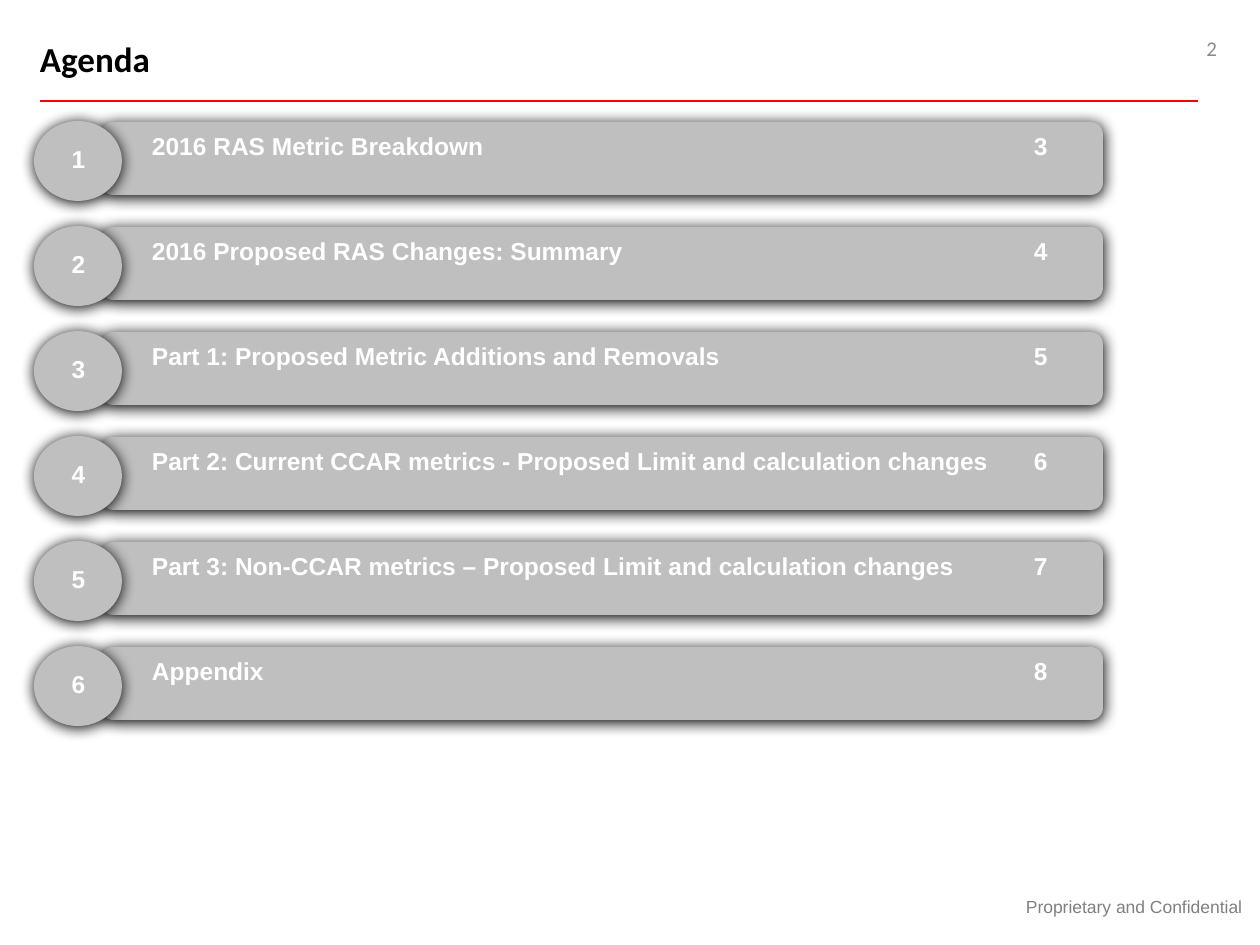
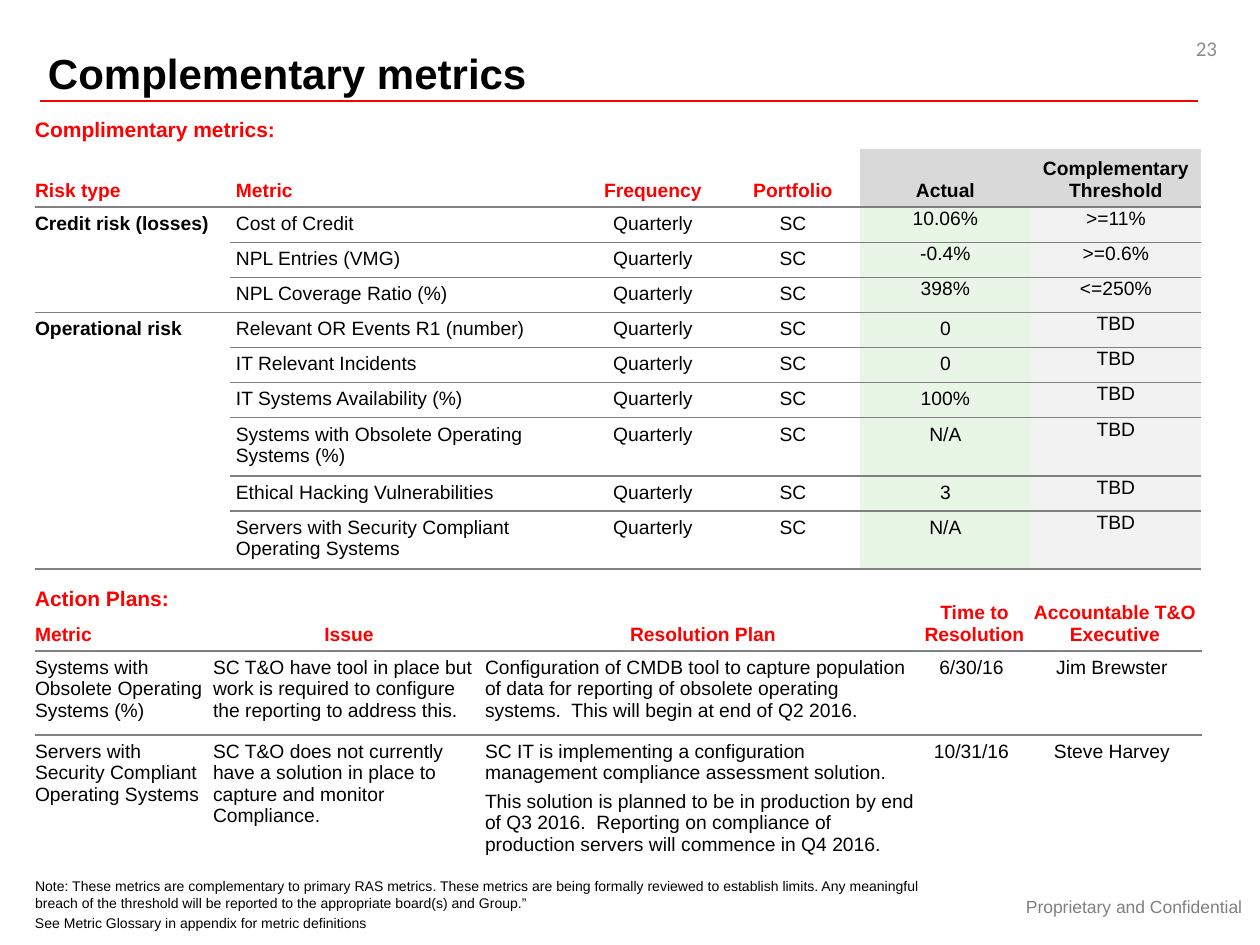
from lxml.etree import SubElement as Sub
from pptx import Presentation
from pptx.dml.color import RGBColor
from pptx.enum.shapes import MSO_CONNECTOR as Link, MSO_SHAPE as Kind
from pptx.enum.text import MSO_ANCHOR as Anchor, PP_ALIGN as Align
from pptx.oxml.ns import qn
from pptx.util import Pt

SCALE = 914400 / 126
RED, BLACK, WHITE = "FF0000", "000000", "FFFFFF"
SILVER, GRAY, PALE = "BFBFBF", "808080", "8C8C8C"
HEAD, GREEN, MIST = "D9D9D9", "E8F6E6", "F2F2F2"
PLAIN = "{2D5ABB26-0587-4C30-8999-92F81FD0307C}"
ALIGN = {"l": Align.LEFT, "c": Align.CENTER, "r": Align.RIGHT}
ANCHOR = {"t": Anchor.TOP, "m": Anchor.MIDDLE, "b": Anchor.BOTTOM}

FOOTER = "Proprietary and Confidential"
AGENDA = [
    ("2016 RAS Metric Breakdown", 3),
    ("2016 Proposed RAS Changes: Summary", 4),
    ("Part 1: Proposed Metric Additions and Removals", 5),
    ("Part 2: Current CCAR metrics - Proposed Limit and calculation changes", 6),
    ("Part 3: Non-CCAR metrics – Proposed Limit and calculation changes", 7),
    ("Appendix", 8),
]
TITLES = ["Risk type", "Metric", "Frequency", "Portfolio", "Actual",
          "Complementary Threshold"]
RISKS = {
    "Credit risk (losses)": [
        ("Cost of Credit", "10.06%", ">=11%"),
        ("NPL Entries (VMG)", "-0.4%", ">=0.6%"),
        ("NPL Coverage Ratio (%)", "398%", "<=250%"),
    ],
    "Operational risk": [
        ("Relevant OR Events R1 (number)", "0", "TBD"),
        ("IT Relevant Incidents", "0", "TBD"),
        ("IT Systems Availability (%)", "100%", "TBD"),
        ("Systems with Obsolete Operating Systems (%)", "N/A", "TBD"),
        ("Ethical Hacking Vulnerabilities", "3", "TBD"),
        ("Servers with Security Compliant Operating Systems", "N/A", "TBD"),
    ],
}
PLANS = [
    ("Metric", "Issue", "Resolution Plan", "Time to Resolution",
     "Accountable T&O Executive"),
    ("Systems with Obsolete Operating Systems (%)",
     "SC T&O have tool in place but work is required to configure the "
     "reporting to address this.",
     "Configuration of CMDB tool to capture population of data for reporting "
     "of obsolete operating systems.  This will begin at end of Q2 2016.",
     "6/30/16", "Jim Brewster"),
    ("Servers with Security Compliant Operating Systems",
     "SC T&O does not currently have a solution in place to capture and "
     "monitor Compliance.",
     ["SC IT is implementing a configuration management compliance "
      "assessment solution.",
      "This solution is planned to be in production by end of Q3 2016.  "
      "Reporting on compliance of production servers will commence in Q4 2016."],
     "10/31/16", "Steve Harvey"),
]
NOTE = ("Note: These metrics are complementary to primary RAS metrics. These "
        "metrics are being formally reviewed to establish limits. Any meaningful "
        "breach of the threshold will be reported to the appropriate board(s) "
        "and Group.”")
GLOSS = "See Metric Glossary in appendix for metric definitions"


def px(*vals):
    return [round(v * SCALE) for v in vals]


def tint(code):
    return RGBColor.from_string(code)


def write(frame, text, size=11, color=BLACK, bold=False, face="Arial",
          align="l", gap=0, tab=None):
    for i, line in enumerate(text if isinstance(text, list) else [text]):
        para = frame.add_paragraph() if i else frame.paragraphs[0]
        para.alignment = ALIGN[align]
        para.space_before = Pt(gap if i else 0)
        para.space_after = Pt(gap)
        if tab:
            stops = Sub(para._p.get_or_add_pPr(), qn("a:tabLst"))
            Sub(stops, qn("a:tab"), pos=str(px(tab)[0]), algn="l")
        run = para.add_run()
        run.text = line
        font = run.font
        font.size, font.bold, font.name = Pt(size), bold, face
        font.color.rgb = tint(color)


def inset(part, sides):
    (part.margin_left, part.margin_top,
     part.margin_right, part.margin_bottom) = px(*sides)


def label(shapes, at, text, pad=(13, 6, 13, 6), anchor="t", **fmt):
    frame = shapes.add_textbox(*px(*at)).text_frame
    frame.word_wrap = True
    frame.vertical_anchor = ANCHOR[anchor]
    inset(frame, pad)
    write(frame, text, **fmt)


def raised(shapes, kind, at):
    shape = shapes.add_shape(kind, *px(*at))
    shape.fill.solid()
    shape.fill.fore_color.rgb = tint(SILVER)
    shape.line.fill.background()
    shape.shadow.inherit = False
    effects = shape._element.spPr.find(qn("a:effectLst"))
    shade = Sub(effects, qn("a:outerShdw"), blurRad=str(Pt(8.5)),
                dist=str(Pt(1)), dir="5400000", algn="ctr", rotWithShape="0")
    Sub(shade, qn("a:srgbClr"), val=BLACK)


def page(deck, num):
    shapes = deck.slides.add_slide(deck.slide_layouts[6]).shapes
    rule = shapes.add_connector(Link.STRAIGHT, *px(40, 101, 1198, 101))
    rule.line.color.rgb = tint(RED)
    rule.line.width = Pt(1)
    Sub(rule._element.spPr, qn("a:effectLst"))
    label(shapes, (921, 882, 426, 50), FOOTER, anchor="m", size=10,
          color=GRAY, align="c")
    label(shapes, (946, 23, 284, 50), str(num), anchor="m", size=12,
          color=PALE, face="Calibri", align="r")
    return shapes


def grid(shapes, left, top, cols, rows):
    box = (left, top, sum(cols), sum(rows))
    table = shapes.add_table(len(rows), len(cols), *px(*box)).table
    table._tbl.tblPr.find(qn("a:tableStyleId")).text = PLAIN
    table.first_row = table.horz_banding = False
    for parts, name, sizes in ((table.columns, "width", cols),
                               (table.rows, "height", rows)):
        for part, size in zip(parts, px(*sizes)):
            setattr(part, name, size)
    return table


def put(cell, text, pad=(6, 6, 6, 6), anchor="t", fill=None, rule=True, **fmt):
    inset(cell, pad)
    cell.vertical_anchor = ANCHOR[anchor]
    if fill:
        cell.fill.solid()
        cell.fill.fore_color.rgb = tint(fill)
    else:
        cell.fill.background()
    if rule:
        under(cell)
    write(cell.text_frame, text, **fmt)


def under(cell):
    props = cell._tc.get_or_add_tcPr()
    line = Sub(props, qn("a:lnB"), w=str(Pt(1)))
    Sub(Sub(line, qn("a:solidFill")), qn("a:srgbClr"), val=GRAY)
    props.insert(0, line)


def agenda(deck):
    shapes = page(deck, 2)
    label(shapes, (40, 38, 1220, 63), "Agenda", pad=(0, 0, 0, 0), size=20,
          bold=True, face="Calibri")
    look = dict(size=14, color=WHITE, bold=True)
    for i, (name, num) in enumerate(AGENDA):
        top = 122 + 105 * i
        group = shapes.add_group_shape().shapes
        raised(group, Kind.ROUNDED_RECTANGLE, (101, top, 1002, 73))
        raised(group, Kind.OVAL, (34, top - 1, 88, 80))
        label(group, (54, top + 16, 49, 44), str(i + 1), align="c", **look)
        label(group, (139, top + 3, 994, 66), f"{name}\t{num}", tab=882, **look)


def risks(shapes):
    table = grid(shapes, 35, 149, [195, 350, 146, 134, 171, 170],
                 [55] + [34] * 6 + [56, 34, 56])
    for c, name in enumerate(TITLES):
        put(table.cell(0, c), name, pad=(6 if c else 0, 6, 6, 6), anchor="b",
            fill=HEAD if c > 3 else None, color=BLACK if c > 3 else RED,
            bold=True, align="c" if c > 1 else "l", gap=2)
    row = 1
    tight = (1, 1, 1, 0)
    for risk, items in RISKS.items():
        last = row + len(items) - 1
        table.cell(row, 0).merge(table.cell(last, 0))
        put(table.cell(row, 0), risk, pad=(0, 6, 6, 6), bold=True, gap=2)
        under(table.cell(last, 0))
        for metric, actual, limit in items:
            cells = [table.cell(row, c) for c in range(1, 6)]
            put(cells[0], metric, gap=2)
            put(cells[1], "Quarterly", align="c", gap=2)
            put(cells[2], "SC", align="c")
            put(cells[3], actual, fill=GREEN, align="c",
                pad=tight if risk.startswith("Credit") else (6, 6, 6, 6))
            put(cells[4], limit, fill=MIST, align="c", pad=tight)
            row += 1


def plans(shapes):
    table = grid(shapes, 35, 593, [178, 272, 436, 107, 174], [56, 84, 137])
    for r, line in enumerate(PLANS):
        head = r == 0
        for c, text in enumerate(line):
            mid = c > 2 or (head and c)
            put(table.cell(r, c), text, pad=(0, 6, 0 if head else 6, 6),
                anchor="b" if head else "t", rule=r < 2, bold=head,
                color=RED if head else BLACK, align="c" if mid else "l", gap=2)


def metrics(deck):
    shapes = page(deck, 23)
    label(shapes, (35, 36, 1137, 60), "Complementary metrics",
          pad=(13, 12, 13, 0), size=24, bold=True)
    plans(shapes)
    risks(shapes)
    flush = (0, 6, 13, 6)
    for top, text in ((111, "Complimentary metrics:"), (580, "Action Plans:")):
        label(shapes, (35, top, 354, 38), text, pad=flush, size=12,
              color=RED, bold=True)
    label(shapes, (35, 872, 940, 47), NOTE, pad=flush, size=8)
    label(shapes, (35, 915, 656, 16), GLOSS, pad=(0, 0, 0, 0), size=8)


def main():
    deck = Presentation()
    deck.slide_width, deck.slide_height = px(1260, 945)
    agenda(deck)
    metrics(deck)
    deck.save("out.pptx")


if __name__ == "__main__":
    main()
